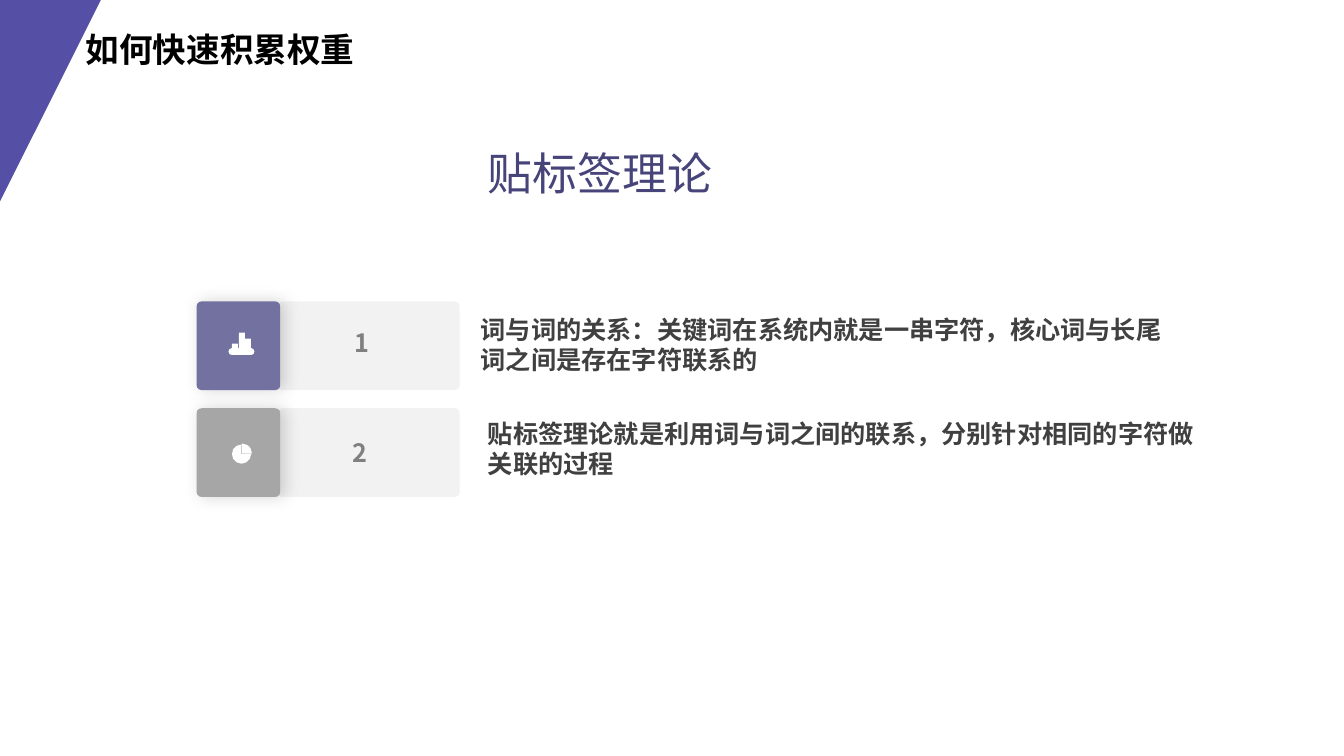
"""Build a slide on the labelling theory with two numbered points."""
from lxml import etree
from pptx import Presentation
from pptx.dml.color import RGBColor
from pptx.enum import shapes, text
from pptx.oxml import ns
from pptx.util import Inches, Pt

FONT = "Noto Sans CJK SC"
VIOLET = RGBColor(0x55, 0x4F, 0xA5)
HEADING = RGBColor(0x47, 0x44, 0x79)
PURPLE = RGBColor(0x72, 0x71, 0x9F)
GREY = RGBColor(0xA6, 0xA6, 0xA6)
PANEL = RGBColor(0xF2, 0xF2, 0xF2)
NUMBER = RGBColor(0x80, 0x80, 0x80)
BODY = RGBColor(0x40, 0x40, 0x40)
BLACK = RGBColor(0, 0, 0)
WHITE = RGBColor(255, 255, 255)

presentation = Presentation()
presentation.slide_width = Inches(13.33)
presentation.slide_height = Inches(7.5)
slide = presentation.slides.add_slide(presentation.slide_layouts[5])


def paint(shape, color):
    shape.shadow.inherit = False
    shape.fill.solid()
    shape.fill.fore_color.rgb = color
    shape.line.fill.background()
    return shape


def write(shape, words, size, color, bold=True, align=text.PP_ALIGN.LEFT):
    frame = shape.text_frame
    frame.text = words
    frame.word_wrap = True
    frame.auto_size = text.MSO_AUTO_SIZE.NONE
    frame.vertical_anchor = text.MSO_ANCHOR.TOP
    paragraph = frame.paragraphs[0]
    paragraph.alignment = align
    font = paragraph.runs[0].font
    font.name, font.size, font.bold = FONT, Pt(size), bold
    font.color.rgb = color
    properties = paragraph.runs[0]._r.get_or_add_rPr()
    etree.SubElement(properties, ns.qn("a:ea"), typeface=FONT)


builder = slide.shapes.build_freeform(0, 0, Inches(1))
builder.add_line_segments([(0.42, 0), (0.67, 0.41), (0, 1.5)])
paint(builder.convert_to_shape(), VIOLET)

title = slide.shapes.title
title.left, title.top = Inches(0.75), Inches(0.24)
title.width, title.height = Inches(3.71), Inches(0.5)
write(title, "如何快速积累权重", 24, BLACK)

heading = slide.shapes.add_textbox(Inches(4.74), Inches(1.4), Inches(2.42), Inches(0.64))
write(heading, "贴标签理论", 32, HEADING, bold=False)
heading.text_frame.word_wrap = False

points = [
    (2.99, PURPLE, " 1", 3.2, 4.67, 3.07, 7.16,
     "词与词的关系：关键词在系统内就是一串字符，核心词与长尾词之间是存在字符联系的"),
    (4.05, GREY, "2", 4.29, 4.74, 4.1, 7.21,
     "贴标签理论就是利用词与词之间的联系，分别针对相同的字符做关联的过程"),
]
for top, color, number, number_top, left, words_top, width, words in points:
    for tile_left, tile_width, fill in [(2.75, 1.81, PANEL), (1.95, 0.83, color)]:
        tile = slide.shapes.add_shape(
            shapes.MSO_SHAPE.ROUNDED_RECTANGLE,
            Inches(tile_left), Inches(top), Inches(tile_width), Inches(0.88))
        tile.adjustments[0] = 0.06
        paint(tile, fill)
    effects = tile._element.spPr.find(ns.qn("a:effectLst"))
    shadow = etree.SubElement(effects, ns.qn("a:outerShdw"), blurRad=str(Pt(12)),
                              dist=str(Pt(3)), dir="0", algn="ctr", rotWithShape="0")
    shade = etree.SubElement(shadow, ns.qn("a:srgbClr"), val="000000")
    etree.SubElement(shade, ns.qn("a:alpha"), val="17000")

    label = slide.shapes.add_textbox(
        Inches(2.84), Inches(number_top), Inches(1.45), Inches(0.4))
    write(label, number, 18, NUMBER, align=text.PP_ALIGN.CENTER)
    description = slide.shapes.add_textbox(
        Inches(left), Inches(words_top), Inches(width), Inches(0.71))
    write(description, words, 18, BODY)

baseline = slide.shapes.add_connector(
    shapes.MSO_CONNECTOR.STRAIGHT, Inches(2.3), Inches(3.49), Inches(2.49), Inches(3.49))
baseline.line.color.rgb = WHITE
baseline.line.width = Pt(4.88)
baseline.line._get_or_add_ln().set("cap", "rnd")
etree.SubElement(baseline._element.spPr, ns.qn("a:effectLst"))
for left, top in [(2.3, 3.41), (2.37, 3.3), (2.43, 3.36)]:
    bar = slide.shapes.add_shape(
        shapes.MSO_SHAPE.ROUNDED_RECTANGLE,
        Inches(left), Inches(top), Inches(0.06), Inches(3.47 - top))
    bar.adjustments[0] = 0.08
    paint(bar, WHITE)

for left, top, size, start, end in [(2.3, 4.41, 0.19, 0, 162), (2.3, 4.4, 0.2, 162, 0)]:
    pie = slide.shapes.add_shape(
        shapes.MSO_SHAPE.PIE, Inches(left), Inches(top), Inches(size), Inches(size))
    pie.adjustments[0], pie.adjustments[1] = start, end
    paint(pie, WHITE)
builder = slide.shapes.build_freeform(2.41, 4.41, Inches(1))
builder.add_line_segments([(2.45, 4.43), (2.41, 4.48)])
paint(builder.convert_to_shape(), GREY)

presentation.save("out.pptx")
